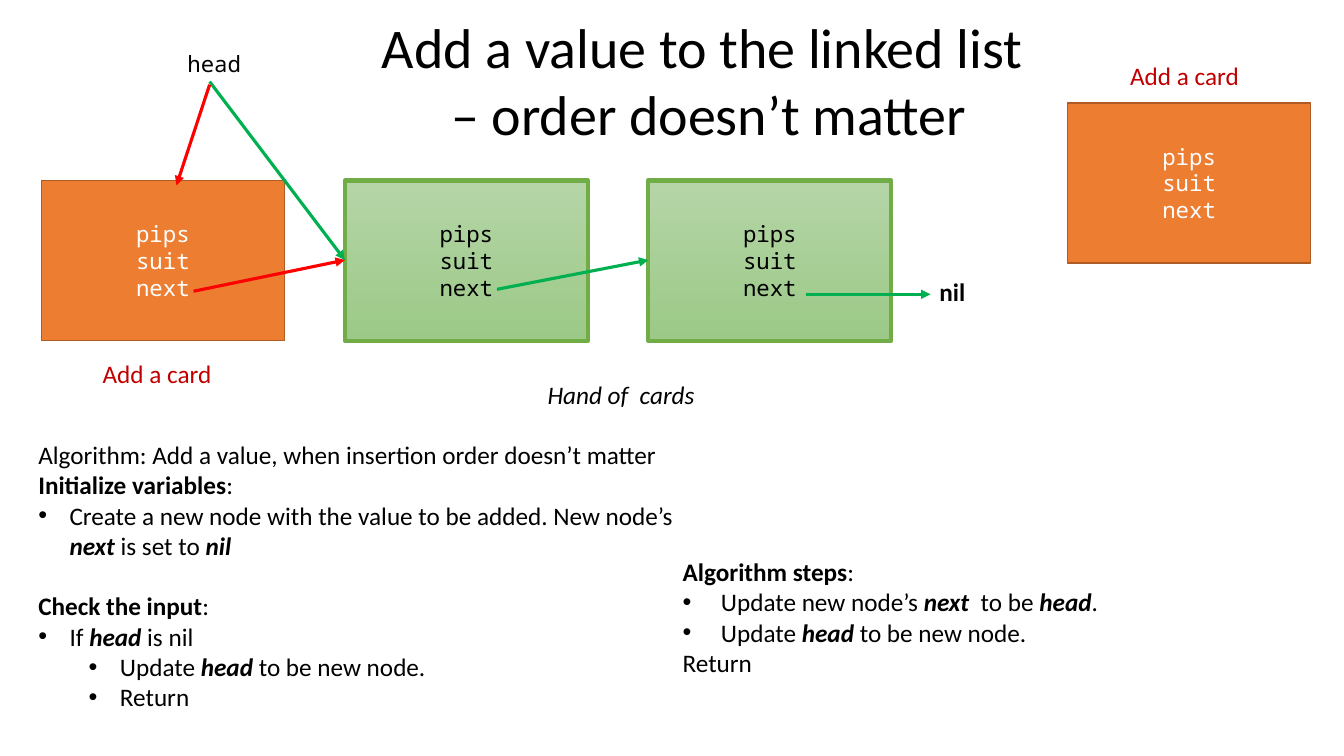
from lxml import etree
from pptx import Presentation
from pptx import util as u
from pptx.dml.color import RGBColor
from pptx.enum import shapes, text
from pptx.oxml.ns import qn

WHITE, BLACK, RED, GREEN, DARK = "FFFFFF", "000000", "FF0000", "00B050", "C00000"
MONO = "Noto Sans Mono"


def rgb(code):
    return RGBColor.from_string(code)


class Board:
    """Current slide and its style; lengths are percent of the slide's size."""
    font, size, line = "Calibri", 18, 2.25

    def __init__(self, deck):
        self.wide, self.high = deck.slide_width, deck.slide_height
        self.slide = deck.slides.add_slide(deck.slide_layouts[3])
        self.title, self.left, self.right = self.slide.placeholders

    def spot(self, x, y):
        return round(self.wide * x / 100), round(self.high * y / 100)

    def place(self, shape, x, y, w, h):
        shape.left, shape.top = self.spot(x, y)
        shape.width, shape.height = self.spot(w, h)

    def style(self, part, color=BLACK, size=None, font=None):
        part.font.name = font or self.font
        part.font.size = u.Pt(size or self.size)
        part.font.color.rgb = rgb(color)

    def letter(self, shape, words, align="CENTER", anchor="TOP", **look):
        frame = shape.text_frame
        frame.text = words
        frame.word_wrap = True
        frame.auto_size = text.MSO_AUTO_SIZE.NONE
        frame.vertical_anchor = text.MSO_ANCHOR[anchor]
        for para in frame.paragraphs:
            para.alignment = text.PP_ALIGN[align]
            for run in para.runs:
                self.style(run, **look)
        return frame.paragraphs[0].runs[0].font

    def head(self, words, *box):
        self.place(self.title, *box)
        self.letter(self.title, words, size=40)

    def label(self, words, *box, **look):
        shape = self.slide.shapes.add_textbox(*self.spot(*box[:2]), *self.spot(*box[2:]))
        return self.letter(shape, words, **look)

    def card(self, x, y, new=False):
        shape = self.slide.shapes.add_shape(
            shapes.MSO_SHAPE.RECTANGLE, *self.spot(x, y), *self.spot(18.08, 21.2))
        shape.shadow.inherit = False
        if new:
            shape.fill.solid()
            shape.fill.fore_color.rgb = rgb("ED7D31")
        else:
            shape.fill.gradient()
            shape.fill.gradient_angle = 270
            for stop, code in zip(shape.fill.gradient_stops, ("B5D5A7", "9CC987")):
                stop.color.rgb = rgb(code)
        shape.line.color.rgb = rgb("AF5C24" if new else "70AD47")
        shape.line.width = u.Pt(1 if new else 3)
        self.letter(shape, "pips\nsuit\nnext", anchor="MIDDLE", size=16,
                    font=MONO, color=WHITE if new else BLACK)

    def arrow(self, start, end, color=GREEN):
        link = self.slide.shapes.add_connector(
            shapes.MSO_CONNECTOR.STRAIGHT, *self.spot(*start), *self.spot(*end))
        link.line.color.rgb = rgb(color)
        link.line.width = u.Pt(self.line)
        props = link._element.spPr
        etree.SubElement(props.find(qn("a:ln")), qn("a:tailEnd"), type="triangle")
        etree.SubElement(props, qn("a:effectLst"))

    def steps(self, holder, items, hang, *box):
        """Items are (depth, words, gap); depth 0 is plain, stars mark strong words."""
        self.place(holder, *box)
        frame = holder.text_frame
        frame.word_wrap = True
        frame.auto_size = text.MSO_AUTO_SIZE.NONE
        for i, (depth, words, gap) in enumerate(items):
            para = frame.add_paragraph() if i else frame.paragraphs[0]
            para.level = max(depth - 1, 0)
            para.space_before = u.Pt(gap)
            props = para._p.get_or_add_pPr()
            inset = hang + 0.5 * para.level if depth else 0
            props.set("marL", str(u.Inches(inset)))
            props.set("indent", str(u.Inches(-hang if depth else 0)))
            if depth:
                etree.SubElement(props, qn("a:buFont"), typeface="Arial")
                etree.SubElement(props, qn("a:buChar"), char="•")
            else:
                etree.SubElement(props, qn("a:buNone"))
            self.style(para)
            for k, bit in enumerate(words.split("*")):
                if bit:
                    run = para.add_run()
                    run.text = bit
                    self.style(run)
                    run.font.bold = k % 2 == 1
                    run.font.italic = k % 2 == 1 and depth > 0


def main():
    deck = Presentation()
    deck.slide_width, deck.slide_height = u.Inches(13.33), u.Inches(7.5)
    board = Board(deck)
    board.head("Add a value to the linked list\n – order doesn’t matter",
               21.83, 0.93, 60.84, 19.33)

    # Cards: the chain, then the spare one
    for i in range(3):
        board.card(3.08 + 22.58 * i, 23.87, new=i == 0)
    board.card(79.44, 13.6, new=True)

    # Labels
    board.label("head", 6.9, 6, 18.08, 4.93, size=16, font=MONO)
    board.label("Hand of  cards", 23.63, 49.47, 45.16, 5.33).italic = True
    board.label("nil", 66.09, 35.87, 9.53, 5.33).bold = True
    for x, y in ((83.35, 7.33), (6.9, 46.8)):
        board.label("Add a card", x, y, 10.43, 5.33, align="LEFT", color=DARK)

    # Links: present in green, new in red
    first, second = (25.66, 34.4), (48.24, 34.4)
    board.arrow((36.98, 38.27), second)
    board.arrow((59.94, 38.93), (69.24, 38.93))
    board.arrow((15.6, 10.8), first)
    board.arrow((14.4, 38.53), first, RED)
    board.arrow((15.6, 11.2), (13.13, 24.53), RED)

    # Algorithm
    board.steps(board.left, [
        (0, "Algorithm: Add a value, when insertion order doesn’t matter", 0),
        (0, "*Initialize variables*:", 0),
        (1, "Create a new node with the value to be added. New node’s "
            "*next* is set to *nil*", 0),
        (0, "*Check the input*:", 21.6),
        (1, "If *head* is nil", 0),
        (2, "Update *head* to be new node.", 0),
        (2, "Return", 0),
    ], 0.31, 2.1, 57.47, 49.74, 37.73)
    board.steps(board.right, [
        (0, "*Algorithm steps*:", 0),
        (1, "Update new node’s *next * to be *head*.", 0),
        (1, "Update *head* to be new node.", 0),
        (0, "Return", 0),
    ], 0.38, 50.04, 72.93, 47.56, 17.47)
    deck.save("out.pptx")


if __name__ == "__main__":
    main()
